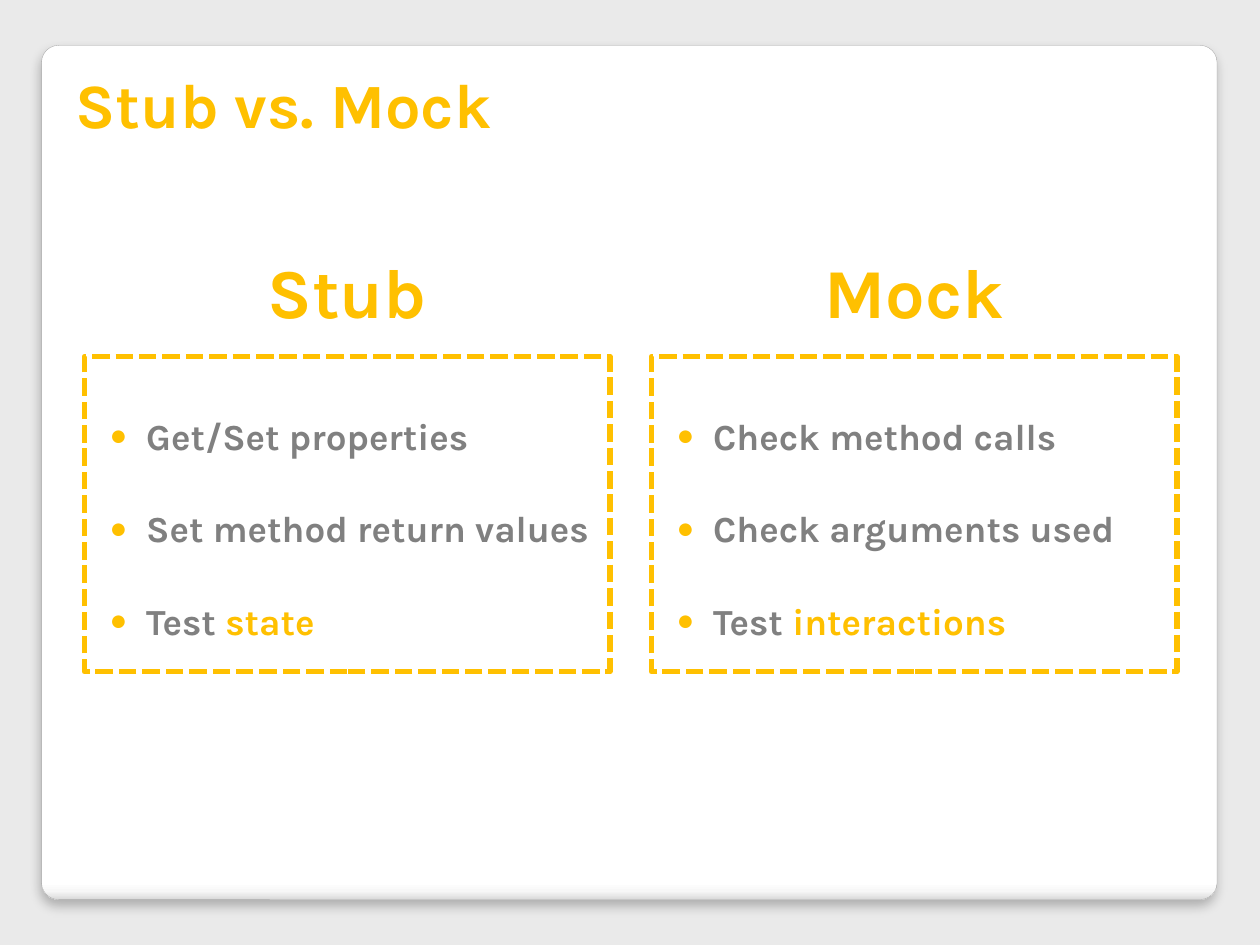
"""Build a slide that compares stubs with mocks in two columns."""
from lxml import etree
from pptx import Presentation
from pptx.dml.color import RGBColor
from pptx.enum.dml import MSO_LINE
from pptx.enum.shapes import MSO_SHAPE
from pptx.enum.text import MSO_ANCHOR, MSO_AUTO_SIZE, PP_ALIGN
from pptx.oxml import parse_xml
from pptx.oxml.ns import nsdecls, qn
from pptx.util import Inches, Pt

ROUNDED = MSO_SHAPE.ROUNDED_RECTANGLE
DASHED = MSO_LINE.SQUARE_DOT
TOP, BOTTOM = MSO_ANCHOR.TOP, MSO_ANCHOR.BOTTOM
LEFT, CENTER = PP_ALIGN.LEFT, PP_ALIGN.CENTER
NO_FIT = MSO_AUTO_SIZE.NONE

THEME = {
    "font": "Karla",
    "accent": "FFC000",
    "text": "808080",
    "white": "FFFFFF",
    "background": "EAEAEA",
    "panel_line": "A4A4A4",
    "panel_stops": [(0, "FFFFFF"), (98, "FFFFFF"), (99, "F7F7F7"), (100, "DADADA")],
    "shadow": "000000",
    "title_size": 36,
    "heading_size": 40,
    "list_size": 21,
}
COLUMNS = [
    ("Stub", ["Get/Set properties", "Set method return values"], "state"),
    ("Mock", ["Check method calls", "Check arguments used"], "interactions"),
]
COLUMN_LEFT, COLUMN_STEP, COLUMN_WIDTH = 0.67, 4.5, 4.17


def place(shape, left, top, width, height, anchor):
    box = {"left": left, "top": top, "width": width, "height": height}
    for name, value in box.items():
        setattr(shape, name, Inches(value))
    frame = shape.text_frame
    for name, value in {"word_wrap": True, "auto_size": NO_FIT, "vertical_anchor": anchor}.items():
        setattr(frame, name, value)
    return frame


def add_run(paragraph, text, size, color):
    run = paragraph.add_run()
    run.text = text
    for name, value in {"name": THEME["font"], "size": Pt(size), "bold": True}.items():
        setattr(run.font, name, value)
    run.font.color.rgb = RGBColor.from_string(color)


presentation = Presentation()
presentation.slide_width, presentation.slide_height = Inches(10), Inches(7.5)
slide = presentation.slides.add_slide(presentation.slide_layouts.get_by_name("Comparison"))
slide.background.fill.solid()
slide.background.fill.fore_color.rgb = RGBColor.from_string(THEME["background"])

panel = slide.shapes.add_shape(ROUNDED, Inches(0.33), Inches(0.36), Inches(9.33), Inches(6.78))
panel.adjustments[0] = 0.02
panel.line.color.rgb = RGBColor.from_string(THEME["panel_line"])
panel.line.width = Pt(0.16)
panel.fill.gradient()
panel.fill.gradient_angle = 270
stop_list = panel._element.spPr.find(qn("a:gradFill")).find(qn("a:gsLst"))
for stop in list(stop_list):
    stop_list.remove(stop)
for position, color in THEME["panel_stops"]:
    stop = etree.SubElement(stop_list, qn("a:gs"), pos=str(position * 1000))
    etree.SubElement(stop, qn("a:srgbClr"), val=color)
panel._element.spPr.append(parse_xml(
    f'<a:effectLst {nsdecls("a")}><a:outerShdw blurRad="{Pt(6)}" dist="{Pt(4)}" dir="5400000" '
    f'algn="ctr" rotWithShape="0"><a:srgbClr val="{THEME["shadow"]}"><a:alpha val="25000"/>'
    '</a:srgbClr></a:outerShdw></a:effectLst>'))
slide.shapes._spTree.insert(2, panel._element)

title = place(slide.shapes.title, 0.5, 0.5, 8.95, 0.67, BOTTOM).paragraphs[0]
title.alignment = LEFT
add_run(title, "Stub vs. Mock", THEME["title_size"], THEME["accent"])

placeholders = {shape.placeholder_format.idx: shape for shape in slide.placeholders}
for index, (name, items, emphasis) in enumerate(COLUMNS):
    left = COLUMN_LEFT + index * COLUMN_STEP
    heading = placeholders[1 + 2 * index]
    paragraph = place(heading, left, 1.92, COLUMN_WIDTH, 0.77, TOP).paragraphs[0]
    paragraph.alignment = CENTER
    paragraph.space_before = Pt(0)
    add_run(paragraph, name, THEME["heading_size"], THEME["accent"])

    body = placeholders[2 + 2 * index]
    frame = place(body, left, 2.83, COLUMN_WIDTH, 2.5, TOP)
    body.fill.solid()
    body.fill.fore_color.rgb = RGBColor.from_string(THEME["white"])
    body.line.color.rgb = RGBColor.from_string(THEME["accent"])
    body.line.width = Pt(3.35)
    body.line.dash_style = DASHED
    margins = {"margin_left": 0.2, "margin_top": 0.1, "margin_right": 0.1, "margin_bottom": 0.05}
    for margin, value in margins.items():
        setattr(frame, margin, Inches(value))
    for row, text in enumerate([*items, "Test "]):
        paragraph = frame.add_paragraph() if row else frame.paragraphs[0]
        paragraph.line_spacing = 2.0
        paragraph.space_before = Pt(2.5)
        add_run(paragraph, text, THEME["list_size"], THEME["text"])
        properties = paragraph._p.get_or_add_pPr()
        properties.set("marL", str(Inches(0.29)))
        properties.set("indent", str(Inches(-0.29)))
        bullet_color = etree.SubElement(properties, qn("a:buClr"))
        etree.SubElement(bullet_color, qn("a:srgbClr"), val=THEME["accent"])
        etree.SubElement(properties, qn("a:buSzPct"), val="80000")
        etree.SubElement(properties, qn("a:buChar"), char="●")
    add_run(paragraph, emphasis, THEME["list_size"], THEME["accent"])

presentation.save("out.pptx")
